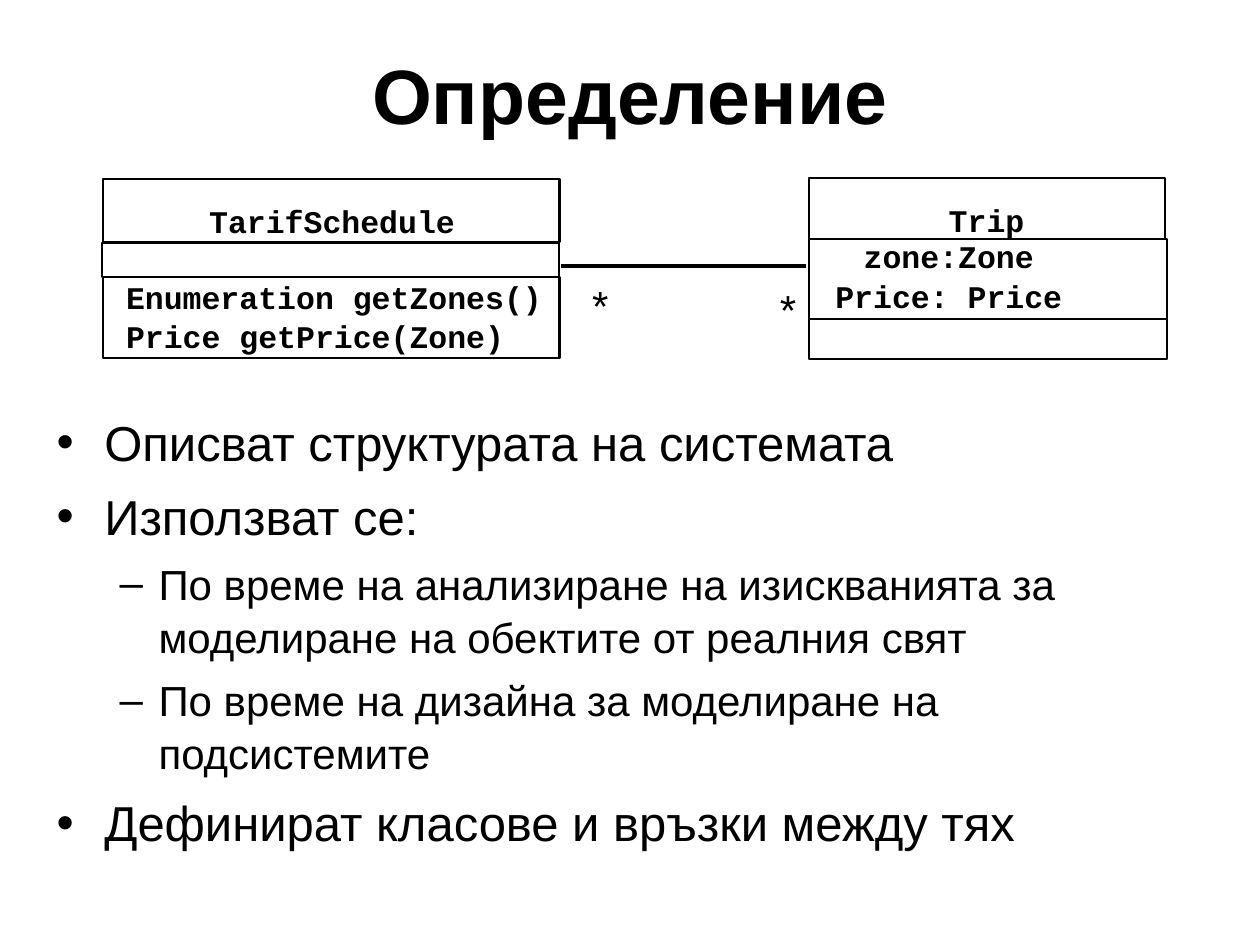
from typing import NamedTuple

from lxml import etree
from pptx import Presentation
from pptx import util as u
from pptx.dml.color import RGBColor
from pptx.enum import shapes, text
from pptx.oxml.ns import qn

BLACK = "000000"
MONO = {"font": "Courier New", "bold": True, "inset": 0}


class Item(NamedTuple):
    text: str
    level: int = 0


class Level(NamedTuple):
    bullet: str
    size: float
    left: float
    hanging: float
    before: float


class Label(NamedTuple):
    text: str
    at: tuple
    style: dict


LEVELS = [Level("•", 28, 0.38, 0.38, 7), Level("–", 24, 0.81, 0.31, 6)]

ITEMS = [
    Item("Описват структурата на системата"),
    Item("Използват се:"),
    Item("По време на анализиране на изискванията за моделиране на обектите от реалния свят", 1),
    Item("По време на дизайна за моделиране на подсистемите", 1),
    Item("Дефинират класове и връзки между тях"),
]

COMPARTMENTS = [
    (0.82, 1.42, 3.62, 0.5),
    (0.81, 1.93, 3.63, 0.27),
    (0.82, 2.2, 3.62, 0.64),
    (6.42, 1.41, 2.83, 0.49),
    (6.42, 1.9, 2.84, 0.63),
    (6.42, 2.53, 2.84, 0.32),
]

STAR = {"size": 24, "anchor": text.MSO_ANCHOR.MIDDLE, "wrap": False}
LABELS = [
    Label("TarifSchedule", (1.66, 1.59, 1.95, 0.3), MONO | {"wrap": False}),
    Label("Enumeration getZones()\nPrice getPrice(Zone)", (1, 2.19, 3.42, 0.6),
          MONO | {"align": text.PP_ALIGN.LEFT}),
    Label("Trip", (7.53, 1.58, 0.6, 0.3), MONO | {"wrap": False}),
    Label("zone:Zone\nPrice: Price", (6.63, 1.87, 1.8, 0.6), MONO),
    Label("*", (4.6, 2.16, 0.33, 0.5), STAR),
    Label("*", (6.09, 2.19, 0.33, 0.5), STAR),
]


def rgb(value: str) -> RGBColor:
    return RGBColor.from_string(value)


def add_frame(s, at: tuple, inset: float = 0.1, wrap: bool = True,
              anchor=text.MSO_ANCHOR.TOP):
    tf = s.shapes.add_textbox(*map(u.Inches, at)).text_frame
    tf.word_wrap = wrap
    tf.vertical_anchor = anchor
    tf.margin_left = tf.margin_right = u.Inches(inset)
    tf.margin_top = tf.margin_bottom = u.Inches(inset / 2)
    return tf


def write(p, content: str, *, size: float = 18, font: str = "Arial",
          bold: bool = False, color: str = BLACK, align=text.PP_ALIGN.CENTER) -> None:
    p.alignment = align
    p.line_spacing = 1.05
    r = p.add_run()
    r.text = content
    r.font.size = u.Pt(size)
    r.font.name = font
    r.font.bold = bold
    r.font.color.rgb = rgb(color)


def add_text(s, content: str, at: tuple, *, inset: float = 0.1, wrap: bool = True,
             anchor=text.MSO_ANCHOR.TOP, **style) -> None:
    tf = add_frame(s, at, inset, wrap, anchor)
    for i, line in enumerate(content.split("\n")):
        write(tf.add_paragraph() if i else tf.paragraphs[0], line, **style)


def add_bullets(s, items: list[Item], at: tuple) -> None:
    tf = add_frame(s, at)
    for i, item in enumerate(items):
        level = LEVELS[item.level]
        p = tf.add_paragraph() if i else tf.paragraphs[0]
        p.level = item.level
        pPr = p._p.get_or_add_pPr()
        pPr.set("marL", str(u.Inches(level.left)))
        pPr.set("indent", str(-u.Inches(level.hanging)))
        etree.SubElement(pPr, qn("a:buFont"), typeface="Arial")
        etree.SubElement(pPr, qn("a:buChar"), char=level.bullet)
        if i:
            p.space_before = u.Pt(level.before)
        write(p, item.text, size=level.size, align=text.PP_ALIGN.LEFT)


def add_compartment(s, at: tuple) -> None:
    sp = s.shapes.add_shape(shapes.MSO_SHAPE.RECTANGLE, *map(u.Inches, at))
    sp.shadow.inherit = False
    sp.fill.background()
    sp.line.color.rgb = rgb(BLACK)
    sp.line.width = u.Pt(1.25)


def add_association(s, start: tuple, end: tuple) -> None:
    line = s.shapes.add_connector(shapes.MSO_CONNECTOR.STRAIGHT,
                                  *map(u.Inches, start + end))
    line.line.color.rgb = rgb(BLACK)
    line.line.width = u.Pt(2)
    etree.SubElement(line._element.spPr, qn("a:effectLst"))


def main() -> None:
    """Build the class diagram slide with its title and bullets."""
    prs = Presentation()
    prs.slide_width, prs.slide_height = u.Inches(10), u.Inches(7.5)
    s = prs.slides.add_slide(prs.slide_layouts[6])
    add_text(s, "Определение", (0.5, 0.3, 9, 0.85), size=44, bold=True,
             anchor=text.MSO_ANCHOR.MIDDLE)
    add_bullets(s, ITEMS, (0.35, 3.2, 9.29, 4.02))
    for at in COMPARTMENTS:
        add_compartment(s, at)
    add_association(s, (4.45, 2.11), (6.4, 2.11))
    for label in LABELS:
        add_text(s, label.text, label.at, **label.style)
    prs.save("out.pptx")


if __name__ == "__main__":
    main()
